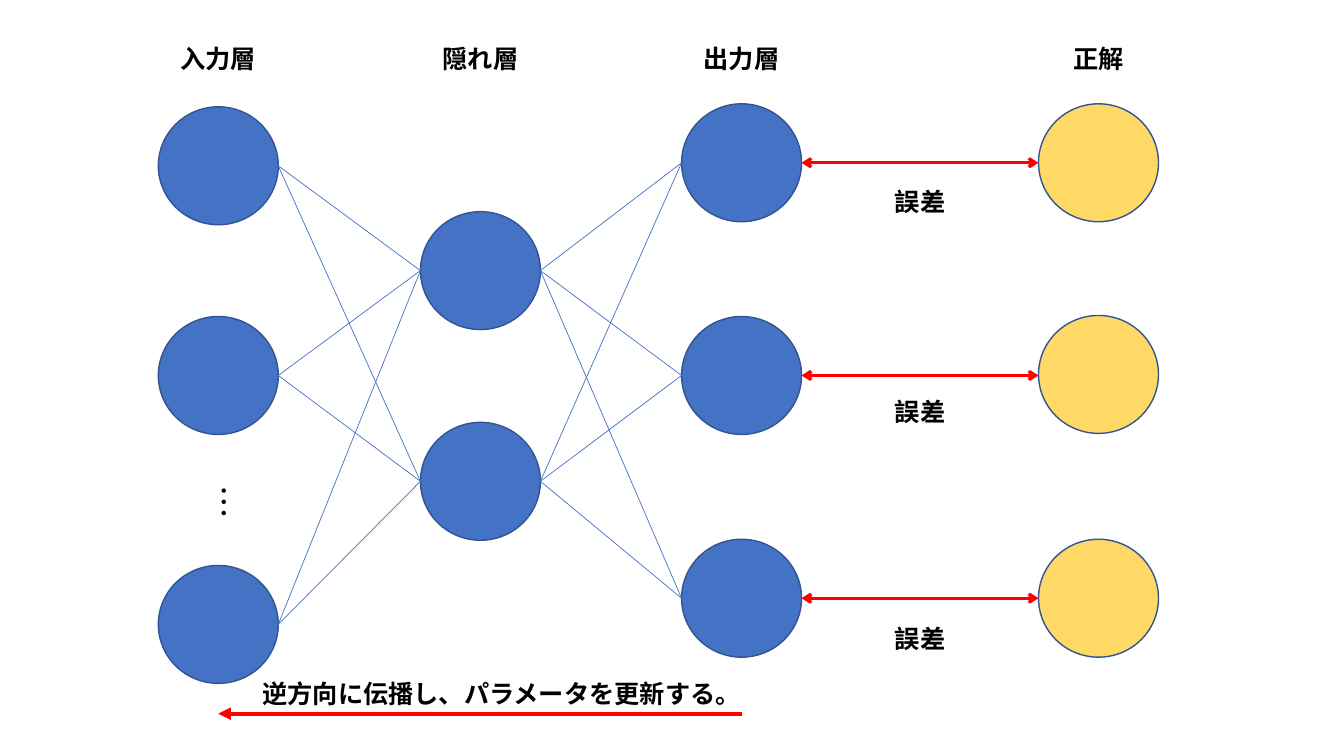
from itertools import product

from lxml import etree
from pptx import Presentation
from pptx.dml.color import RGBColor
from pptx.enum.shapes import MSO_CONNECTOR, MSO_SHAPE
from pptx.enum.text import MSO_AUTO_SIZE, PP_ALIGN
from pptx.oxml.ns import qn
from pptx.util import Inches, Pt

STRAIGHT = MSO_CONNECTOR.STRAIGHT
OVAL = MSO_SHAPE.OVAL
FIT_SHAPE = MSO_AUTO_SIZE.SHAPE_TO_FIT_TEXT
CENTER = PP_ALIGN.CENTER

FONT = "Noto Sans CJK JP"
BLUE, OUTLINE, YELLOW, RED = "4472C4", "325491", "FFD966", "FF0000"
NODE_W, NODE_H = 1.19, 1.17
LABEL_W, LABEL_H = 0.97, 0.4

prs = Presentation()
prs.slide_width, prs.slide_height = Inches(13.33), Inches(7.5)
slide = prs.slides.add_slide(prs.slide_layouts[6])
shapes = slide.shapes


def add_text(text, left, top, width=LABEL_W, height=LABEL_H, size=18, bold=True, vert=None):
    box = shapes.add_textbox(Inches(left), Inches(top), Inches(width), Inches(height))
    frame = box.text_frame
    frame.word_wrap = True
    frame.auto_size = FIT_SHAPE
    if vert:
        frame._txBody.find(qn("a:bodyPr")).set("vert", vert)
    paragraph = frame.paragraphs[0]
    paragraph.alignment = CENTER
    run = paragraph.add_run()
    run.text = text
    run.font.size, run.font.bold, run.font.name = Pt(size), bold, FONT
    run.font.color.rgb = RGBColor.from_string("000000")
    etree.SubElement(run._r.get_or_add_rPr(), qn("a:ea")).set("typeface", FONT)


def add_line(start, end, color, weight, head=None, tail=None):
    """Draw a line between two (x, y) points; head sits at start, tail at end."""
    line = shapes.add_connector(STRAIGHT, *(Inches(v) for v in (*start, *end)))
    line.line.color.rgb = RGBColor.from_string(color)
    line.line.width = Pt(weight)
    for tag, arrow in (("a:headEnd", head), ("a:tailEnd", tail)):
        if arrow:
            etree.SubElement(line.line._get_or_add_ln(), qn(tag)).set("type", arrow)
    etree.SubElement(line._element.spPr, qn("a:effectLst"))


# Layer name: left edge, node tops, node colour
layers = {
    "入力層": (1.57, (1.06, 3.14, 5.61), BLUE),
    "隠れ層": (4.17, (2.1, 4.19), BLUE),
    "出力層": (6.76, (1.03, 3.14, 5.35), BLUE),
    "正解": (10.3, (1.03, 3.13, 5.35), YELLOW),
}
left_ends, right_ends = {}, {}
for layer, (left, tops, color) in layers.items():
    add_text(layer, left + (NODE_W - LABEL_W) / 2, 0.38)
    left_ends[layer] = [(left, top + NODE_H / 2) for top in tops]
    right_ends[layer] = [(left + NODE_W, top + NODE_H / 2) for top in tops]
    for top in tops:
        node = shapes.add_shape(OVAL, Inches(left), Inches(top), Inches(NODE_W), Inches(NODE_H))
        node.shadow.inherit = False
        node.fill.solid()
        node.fill.fore_color.rgb = RGBColor.from_string(color)
        node.line.color.rgb = RGBColor.from_string(OUTLINE)
        node.line.width = Pt(1)

# Every node is joined to every node of the next layer
for source, target in (("入力層", "隠れ層"), ("隠れ層", "出力層")):
    for start, end in product(right_ends[source], left_ends[target]):
        add_line(start, end, BLUE, 0.5)

add_text("…", 1.87, 4.72, width=0.61, height=0.49, size=24, bold=False, vert="eaVert")

# Error between each output and its correct answer
answer_left = layers["正解"][0]
for (x, y), label_top in zip(right_ends["出力層"], (1.8, 3.88, 6.13)):
    add_line((x, y), (answer_left, y), RED, 2.25, head="arrow", tail="arrow")
    add_text("誤差", (x + answer_left - LABEL_W) / 2, label_top)

# Backpropagation from the output layer to the input layer
input_center, output_center = (layers[name][0] + NODE_W / 2 for name in ("入力層", "出力層"))
add_line((output_center, 7.08), (input_center, 7.08), RED, 3, tail="triangle")
add_text("逆方向に伝播し、パラメータを更新する。", 2.47, 6.68, width=4.76)

prs.save("out.pptx")
